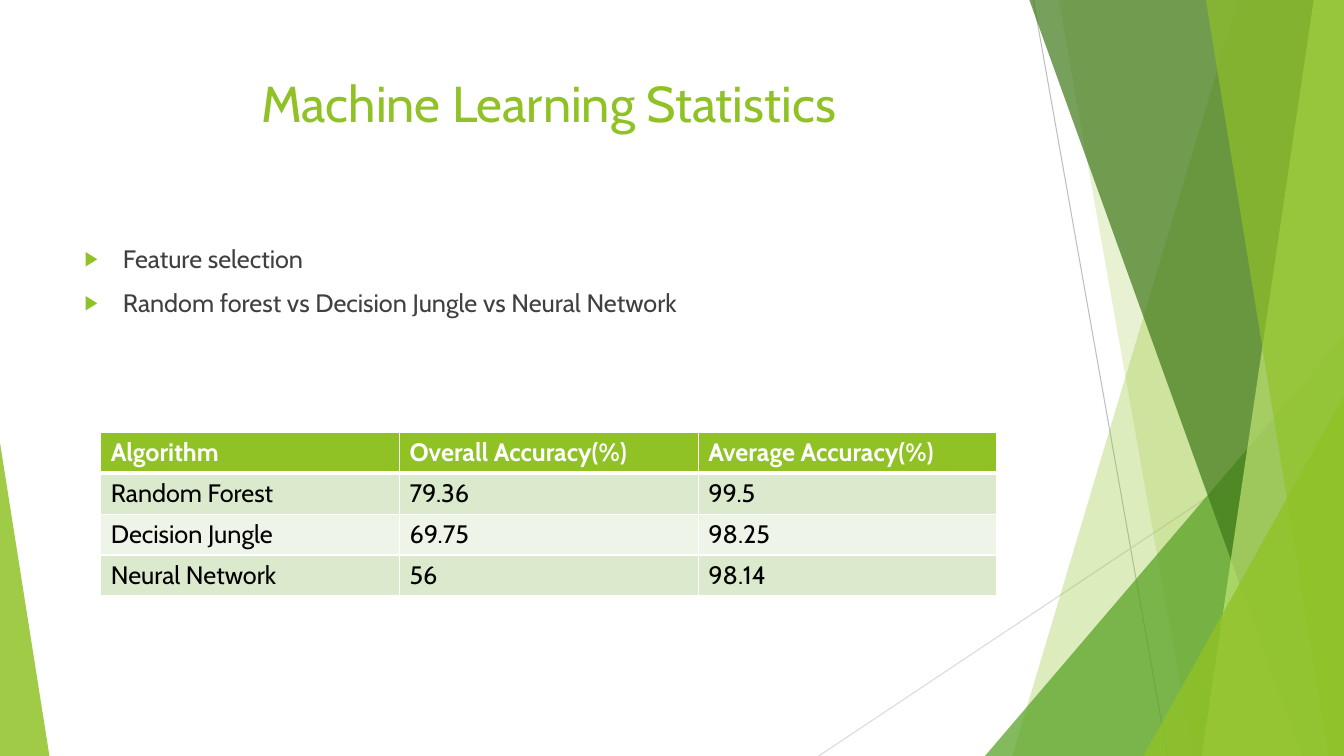
"""Build the machine learning statistics slide; lengths are percentages of the slide."""
from dataclasses import dataclass

import pptx
import pptx.dml.color
import pptx.enum.shapes
import pptx.enum.text
import pptx.oxml
import pptx.oxml.ns
import pptx.util

WIDTH, HEIGHT = pptx.util.Inches(13.33), pptx.util.Inches(7.5)
FONT = "Cabin"
GREEN, WHITE = "90C226", "FFFFFF"
NSDECL = pptx.oxml.ns.nsdecls("a")


@dataclass
class Box:
    left: float
    top: float
    width: float
    height: float


@dataclass
class Ray:
    x1: float
    y1: float
    x2: float
    y2: float
    color: str


@dataclass
class Pane:
    top_x: float
    bottom_x: float
    color: str
    alpha: int


@dataclass
class Wedge:
    box: Box
    apex: float
    color: str
    alpha: int


RAYS = [
    Ray(76.89, 0, 86.87, 100, "BFBFBF"),
    Ray(100, 53.73, 60.92, 100, "D9D9D9"),
]
FACETS = [
    Pane(92.12, 75.32, GREEN, 30),
    Pane(78.77, 88.75, GREEN, 20),
    Wedge(Box(73.29, 44.4, 26.71, 55.6), 1, "54A021", 72),
    Pane(76.59, 96.85, "3F7819", 70),
    Pane(97.75, 89.42, "C0E474", 70),
    Pane(89.72, 98.87, GREEN, 65),
    Wedge(Box(85.07, 52.4, 14.93, 47.6), 1, GREEN, 80),
    Wedge(Box(0, 58.53, 3.68, 41.47), 0, GREEN, 85),
]
TITLE_BOX = Box(5.55, 8.93, 70.52, 19.2)
BODY_BOX = Box(5.55, 31.47, 70.52, 56.53)
TABLE_BOX = Box(7.5, 57.2, 66.69, 21.6)
BULLETS = ["Feature selection", "Random forest vs Decision Jungle vs Neural Network"]
ROWS = [
    ("Algorithm", "Overall Accuracy(%)", "Average Accuracy(%)"),
    ("Random Forest", "79.36", "99.5"),
    ("Decision Jungle", "69.75", "98.25"),
    ("Neural Network", "56", "98.14"),
]


def rgb(color: str) -> pptx.dml.color.RGBColor:
    """Turn a hex string into a colour."""
    return pptx.dml.color.RGBColor.from_string(color)


def across(percent: float) -> int:
    """Return a share of the slide's width."""
    return round(WIDTH * percent / 100)


def down(percent: float) -> int:
    """Return a share of the slide's height."""
    return round(HEIGHT * percent / 100)


def frame(box: Box) -> tuple:
    """Return left, top, width and height of a box."""
    return across(box.left), down(box.top), across(box.width), down(box.height)


def write(p, text: str, size: int, color: str, bold: bool = False) -> None:
    """Add one formatted run to a paragraph."""
    r = p.add_run()
    r.text = text
    for name, value in {"name": FONT, "size": pptx.util.Pt(size), "bold": bold}.items():
        setattr(r.font, name, value)
    r.font.color.rgb = rgb(color)


def draw_ray(s, ray: Ray) -> None:
    """Draw a thin straight line without a shadow."""
    line = s.shapes.add_connector(
        pptx.enum.shapes.MSO_CONNECTOR.STRAIGHT,
        across(ray.x1), down(ray.y1), across(ray.x2), down(ray.y2))
    line.line.color.rgb = rgb(ray.color)
    line.line.width = pptx.util.Pt(0.75)
    line.element.spPr.append(pptx.oxml.parse_xml(f"<a:effectLst {NSDECL}/>"))


def draw_facet(s, facet: Pane | Wedge) -> None:
    """Draw a translucent pane reaching the right edge, or a wedge."""
    if isinstance(facet, Pane):
        builder = s.shapes.build_freeform(across(facet.top_x), 0)
        builder.add_line_segments(
            [(WIDTH, 0), (WIDTH, HEIGHT), (across(facet.bottom_x), HEIGHT)])
        sp = builder.convert_to_shape()
    else:
        sp = s.shapes.add_shape(
            pptx.enum.shapes.MSO_SHAPE.ISOSCELES_TRIANGLE, *frame(facet.box))
        sp.adjustments[0] = facet.apex
    sp.shadow.inherit = False
    sp.line.fill.background()
    sp.fill.solid()
    sp.fill.fore_color.rgb = rgb(facet.color)
    color = sp.element.spPr.find(".//" + pptx.oxml.ns.qn("a:srgbClr"))
    color.append(pptx.oxml.parse_xml(f'<a:alpha {NSDECL} val="{facet.alpha * 1000}"/>'))


def place(s, sp, box: Box):
    """Move a placeholder to its box, in front, and return its text frame."""
    s.shapes.element.append(sp.element)
    sp.left, sp.top, sp.width, sp.height = frame(box)
    tf = sp.text_frame
    formats = {"word_wrap": True,
               "auto_size": pptx.enum.text.MSO_AUTO_SIZE.NONE,
               "vertical_anchor": pptx.enum.text.MSO_ANCHOR.TOP}
    for name, value in formats.items():
        setattr(tf, name, value)
    return tf


def write_bullet(p, text: str) -> None:
    """Write a list item with a green arrow bullet."""
    p.space_before = pptx.util.Pt(10)
    write(p, text, 18, "404040")
    pPr = p._p.get_or_add_pPr()
    indent = pptx.util.Inches(0.38)
    pPr.set("marL", str(indent))
    pPr.set("indent", str(-indent))
    for mark in (f'<a:buClr {NSDECL}><a:srgbClr val="{GREEN}"/></a:buClr>',
                 f'<a:buSzPct {NSDECL} val="80000"/>',
                 f'<a:buChar {NSDECL} char="▶"/>'):
        pPr.append(pptx.oxml.parse_xml(mark))


def format_cell(cell, text: str, row: int) -> None:
    """Write, border and fill one table cell."""
    header = row == 0
    write(cell.text_frame.paragraphs[0], text, 18, WHITE if header else "000000", header)
    widths = {"L": 1, "R": 1, "T": 3 if row == 1 else 1, "B": 3 if header else 1}
    for side, width in widths.items():
        cell._tc.get_or_add_tcPr().append(pptx.oxml.parse_xml(
            f'<a:ln{side} {NSDECL} w="{pptx.util.Pt(width)}"><a:solidFill>'
            f'<a:srgbClr val="{WHITE}"/></a:solidFill></a:ln{side}>'))
    cell.fill.solid()
    cell.fill.fore_color.rgb = rgb(GREEN if header else ("EEF4E8", "DBE9CD")[row % 2])


def main() -> None:
    """Build and save the slide."""
    prs = pptx.Presentation()
    prs.slide_width, prs.slide_height = WIDTH, HEIGHT
    s = prs.slides.add_slide(prs.slide_layouts[1])
    for ray in RAYS:
        draw_ray(s, ray)
    for facet in FACETS:
        draw_facet(s, facet)

    body = s.placeholders[1]
    p = place(s, s.shapes.title, TITLE_BOX).paragraphs[0]
    p.alignment = pptx.enum.text.PP_ALIGN.CENTER
    write(p, "Machine Learning Statistics", 36, GREEN)
    tf = place(s, body, BODY_BOX)
    for i, text in enumerate(BULLETS):
        write_bullet(tf.add_paragraph() if i else tf.paragraphs[0], text)

    table = s.shapes.add_table(len(ROWS), len(ROWS[0]), *frame(TABLE_BOX)).table
    for i, row in enumerate(ROWS):
        for j, text in enumerate(row):
            format_cell(table.cell(i, j), text, i)
    prs.save("out.pptx")


if __name__ == "__main__":
    main()
